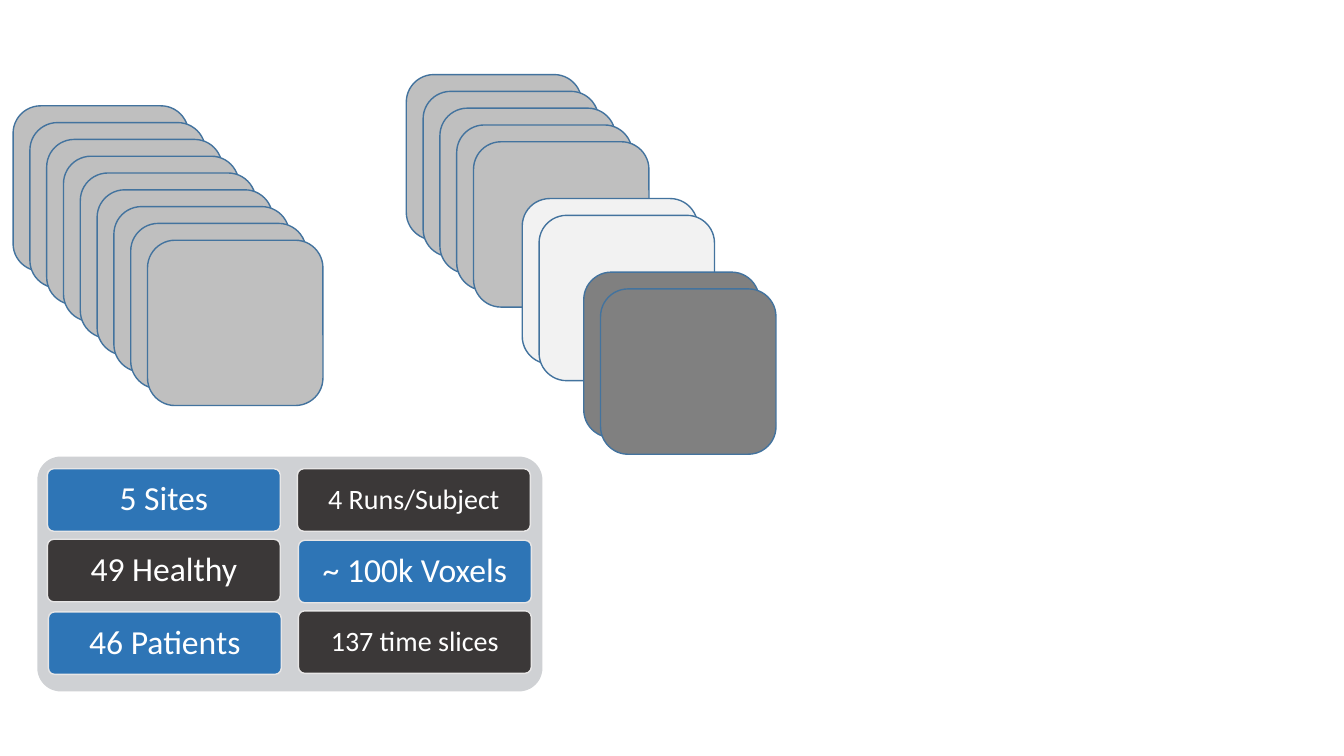
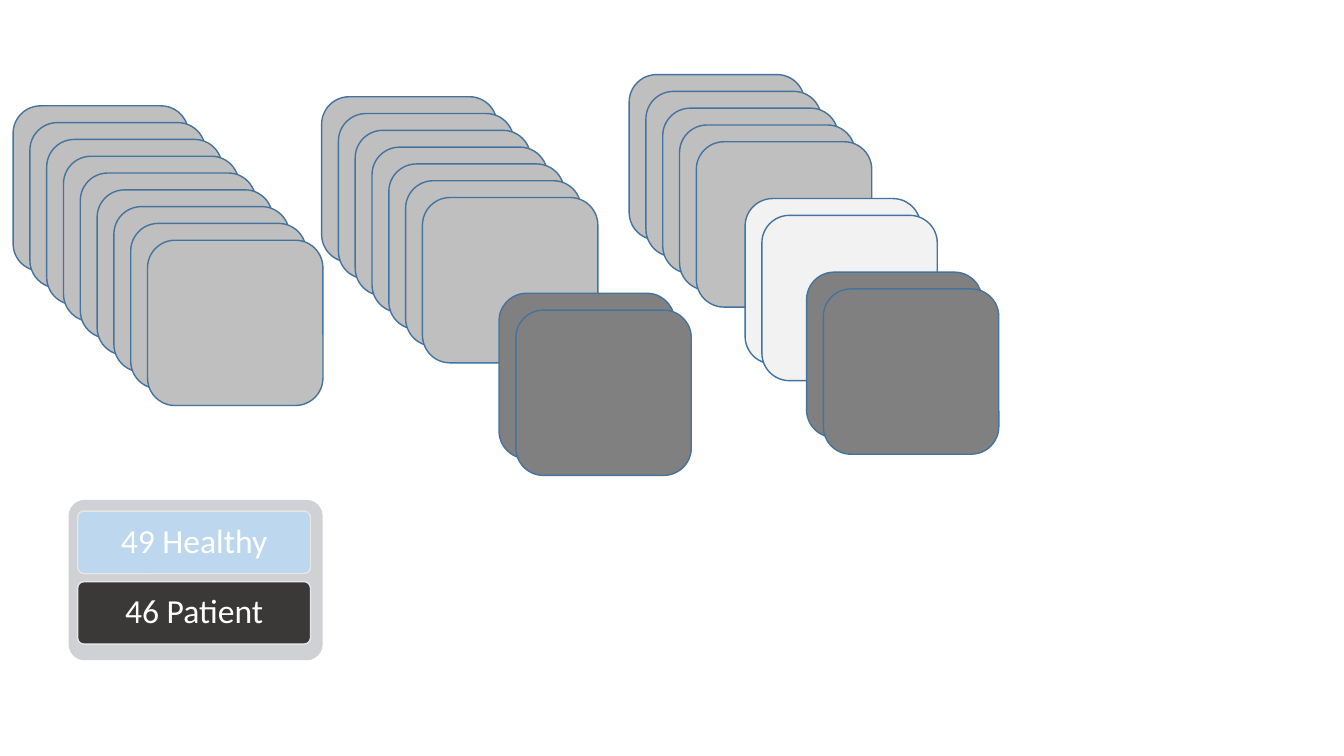
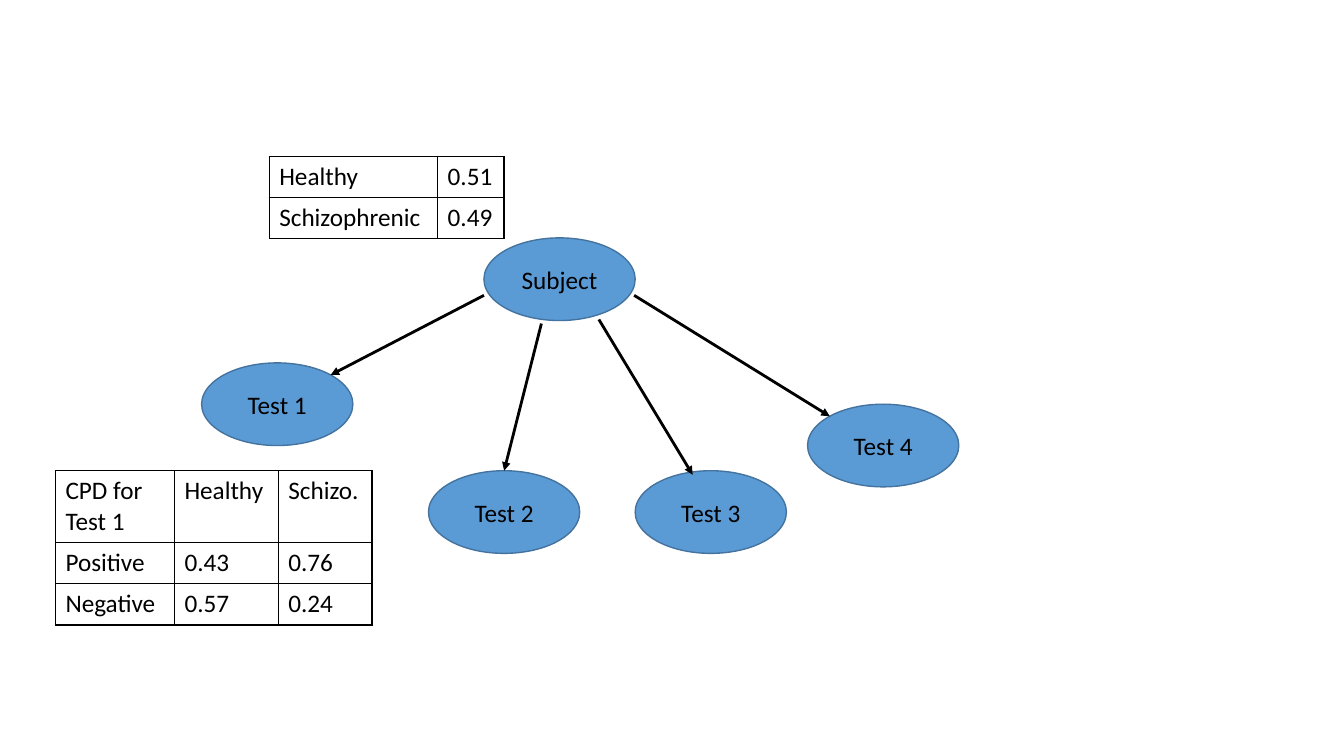
"""Build three slides on a patient study: sample stacks, key figures and a test network."""
from dataclasses import dataclass
from typing import NamedTuple

from lxml import etree
from pptx import Presentation
from pptx.dml.color import RGBColor
from pptx.enum.shapes import MSO_CONNECTOR, MSO_SHAPE
from pptx.enum.text import MSO_ANCHOR, PP_ALIGN
from pptx.oxml.ns import qn
from pptx.shapes.autoshape import Shape
from pptx.slide import Slide
from pptx.text.text import _Paragraph
from pptx.util import Inches, Pt

ROUNDED = MSO_SHAPE.ROUNDED_RECTANGLE
ELLIPSE = MSO_SHAPE.OVAL
STRAIGHT = MSO_CONNECTOR.STRAIGHT
MIDDLE = MSO_ANCHOR.MIDDLE
CENTER = PP_ALIGN.CENTER


@dataclass(frozen=True)
class Theme:
    """Colours, font and sizes shared by the slides."""
    font: str = "Calibri"
    outline: str = "43739E"
    sheet: str = "BFBFBF"
    pale_sheet: str = "F2F2F2"
    dark_sheet: str = "808080"
    panel: str = "CFD1D4"
    card_outline: str = "E7E6E6"
    blue_card: str = "2E75B6"
    pale_card: str = "BDD7EE"
    dark_card: str = "3B3838"
    node: str = "5B9BD5"
    ink: str = "000000"
    white: str = "FFFFFF"
    large: int = 24
    medium: int = 20
    body: int = 18
    thin: int = 1
    arrow: int = 2


THEME = Theme()
SHEET_SIZE = (1.74, 1.64)
SHEET_STEP = 1 / 6
CARD_SIZE = (2.31, 0.62)
NODE_SIZE = (1.5, 0.82)


class Run(NamedTuple):
    """Consecutive sheets of one colour, offset from the start of their stack."""
    dx: float
    dy: float
    count: int
    colour: str


class Card(NamedTuple):
    """A key figure on a coloured card."""
    left: float
    top: float
    label: str
    colour: str
    size: int = THEME.large


class Node(NamedTuple):
    """An ellipse of the network."""
    left: float
    top: float
    label: str


class Arrow(NamedTuple):
    """An arrow given by its two ends."""
    x1: float
    y1: float
    x2: float
    y2: float


class Grid(NamedTuple):
    """A probability table."""
    left: float
    top: float
    columns: tuple[float, ...]
    rows: tuple[float, ...]
    cells: tuple[tuple[str, ...], ...]


UNIFORM = (Run(0, 0, 9, THEME.sheet),)
TWO_TONE = (Run(0, 0, 7, THEME.sheet), Run(1.76, 1.95, 2, THEME.dark_sheet))
THREE_TONE = (
    Run(0, 0, 5, THEME.sheet),
    Run(1.15, 1.23, 2, THEME.pale_sheet),
    Run(1.76, 1.96, 2, THEME.dark_sheet),
)

STUDY_CARDS = (
    Card(0.47, 4.65, "5 Sites", THEME.blue_card),
    Card(0.47, 5.35, "49 Healthy", THEME.dark_card),
    Card(0.48, 6.07, "46 Patients", THEME.blue_card),
    Card(2.95, 4.65, "4 Runs/Subject", THEME.dark_card, THEME.medium),
    Card(2.96, 5.36, "~ 100k Voxels", THEME.blue_card),
    Card(2.96, 6.06, "137 time slices", THEME.dark_card, THEME.medium),
)
GROUP_CARDS = (
    Card(0.77, 5.07, "49 Healthy", THEME.pale_card),
    Card(0.77, 5.77, "46 Patient", THEME.dark_card),
)

NODES = (
    Node(4.8, 2.36, "Subject"),
    Node(2, 3.6, "Test 1"),
    Node(4.25, 4.67, "Test 2"),
    Node(6.3, 4.67, "Test 3"),
    Node(8.01, 4.01, "Test 4"),
)
ARROWS = (
    Arrow(4.8, 2.93, 3.28, 3.72),
    Arrow(5.37, 3.21, 5, 4.67),
    Arrow(5.94, 3.17, 6.87, 4.71),
    Arrow(6.29, 2.93, 8.23, 4.13),
)
GRIDS = (
    Grid(2.67, 1.55, (1.67, 0.66), (0.41, 0.41),
         (("Healthy", "0.51"), ("Schizophrenic", "0.49"))),
    Grid(0.55, 4.67, (1.18, 1.03, 0.93), (0.38, 0.41, 0.41),
         (("CPD for Test 1", "Healthy", "Schizo."),
          ("Positive", "0.43", "0.76"),
          ("Negative", "0.57", "0.24"))),
)


def rgb(colour: str) -> RGBColor:
    """Turn a hex string into a colour."""
    return RGBColor.from_string(colour)


def write(paragraph: _Paragraph, text: str, size: int, colour: str) -> None:
    """Add one formatted run to a paragraph."""
    run = paragraph.add_run()
    run.text = text
    run.font.name = THEME.font
    run.font.size = Pt(size)
    run.font.color.rgb = rgb(colour)


def draw_shape(slide: Slide, kind: MSO_SHAPE, left: float, top: float,
               size: tuple[float, float], fill: str, outline: str | None = None) -> Shape:
    """Add a flat preset shape."""
    shape = slide.shapes.add_shape(
        kind, Inches(left), Inches(top), Inches(size[0]), Inches(size[1]))
    shape.shadow.inherit = False
    shape.fill.solid()
    shape.fill.fore_color.rgb = rgb(fill)
    if outline:
        shape.line.color.rgb = rgb(outline)
        shape.line.width = Pt(THEME.thin)
    else:
        shape.line.fill.background()
    return shape


def label_shape(shape: Shape, text: str, size: int, colour: str) -> _Paragraph:
    """Centre a label inside a shape."""
    frame = shape.text_frame
    frame.word_wrap = True
    frame.vertical_anchor = MIDDLE
    paragraph = frame.paragraphs[0]
    paragraph.alignment = CENTER
    write(paragraph, text, size, colour)
    return paragraph


def draw_stack(slide: Slide, left: float, top: float, runs: tuple[Run, ...]) -> None:
    """Draw overlapping sheets that step down to the right."""
    for run in runs:
        for index in range(run.count):
            shift = index * SHEET_STEP
            draw_shape(slide, ROUNDED, left + run.dx + shift, top + run.dy + shift,
                       SHEET_SIZE, run.colour, THEME.outline)


def draw_panel(slide: Slide, left: float, top: float, size: tuple[float, float],
               cards: tuple[Card, ...]) -> None:
    """Draw a grey panel with its key figure cards."""
    panel = draw_shape(slide, ROUNDED, left, top, size, THEME.panel)
    panel.adjustments[0] = 0.1
    for card in cards:
        tile = draw_shape(slide, ROUNDED, card.left, card.top, CARD_SIZE,
                          card.colour, THEME.card_outline)
        tile.adjustments[0] = 0.1
        label = label_shape(tile, card.label, card.size, THEME.white)
        label.line_spacing = 0.9


def draw_node(slide: Slide, node: Node) -> None:
    """Draw a labelled ellipse."""
    ellipse = draw_shape(slide, ELLIPSE, node.left, node.top, NODE_SIZE,
                         THEME.node, THEME.outline)
    label_shape(ellipse, node.label, THEME.body, THEME.ink)


def draw_arrow(slide: Slide, arrow: Arrow) -> None:
    """Draw a straight line with a triangle at its end."""
    connector = slide.shapes.add_connector(STRAIGHT, *(Inches(value) for value in arrow))
    connector.line.color.rgb = rgb(THEME.ink)
    connector.line.width = Pt(THEME.arrow)
    etree.SubElement(connector.line._get_or_add_ln(), qn("a:tailEnd"), type="triangle")
    etree.SubElement(connector._element.spPr, qn("a:effectLst"))


def draw_grid(slide: Slide, grid: Grid) -> None:
    """Draw a plain table with thin black borders."""
    frame = slide.shapes.add_table(
        len(grid.rows), len(grid.columns), Inches(grid.left), Inches(grid.top),
        Inches(sum(grid.columns)), Inches(sum(grid.rows)))
    table = frame.table
    table.first_row = table.horz_banding = False
    for column, width in zip(table.columns, grid.columns):
        column.width = Inches(width)
    for row, height, texts in zip(table.rows, grid.rows, grid.cells):
        row.height = Inches(height)
        for cell, text in zip(row.cells, texts):
            write(cell.text_frame.paragraphs[0], text, THEME.body, THEME.ink)
            properties = cell._tc.get_or_add_tcPr()
            for side in ("a:lnL", "a:lnR", "a:lnT", "a:lnB"):
                border = etree.SubElement(properties, qn(side), w=str(Pt(THEME.thin)))
                paint = etree.SubElement(border, qn("a:solidFill"))
                etree.SubElement(paint, qn("a:srgbClr"), val=THEME.ink)
            cell.fill.background()


def main() -> None:
    """Build and save the presentation."""
    deck = Presentation()
    deck.slide_width = Inches(13.33)
    deck.slide_height = Inches(7.5)
    blank = deck.slide_layouts[6]

    study = deck.slides.add_slide(blank)
    draw_stack(study, 0.13, 1.05, UNIFORM)
    draw_stack(study, 4.03, 0.74, THREE_TONE)
    draw_panel(study, 0.37, 4.53, (5.01, 2.33), STUDY_CARDS)

    groups = deck.slides.add_slide(blank)
    draw_stack(groups, 0.13, 1.05, UNIFORM)
    draw_stack(groups, 3.19, 0.96, TWO_TONE)
    draw_stack(groups, 6.24, 0.74, THREE_TONE)
    draw_panel(groups, 0.68, 4.96, (2.52, 1.59), GROUP_CARDS)

    network = deck.slides.add_slide(blank)
    for grid in GRIDS:
        draw_grid(network, grid)
    for node in NODES:
        draw_node(network, node)
    for arrow in ARROWS:
        draw_arrow(network, arrow)

    deck.save("out.pptx")


main()
